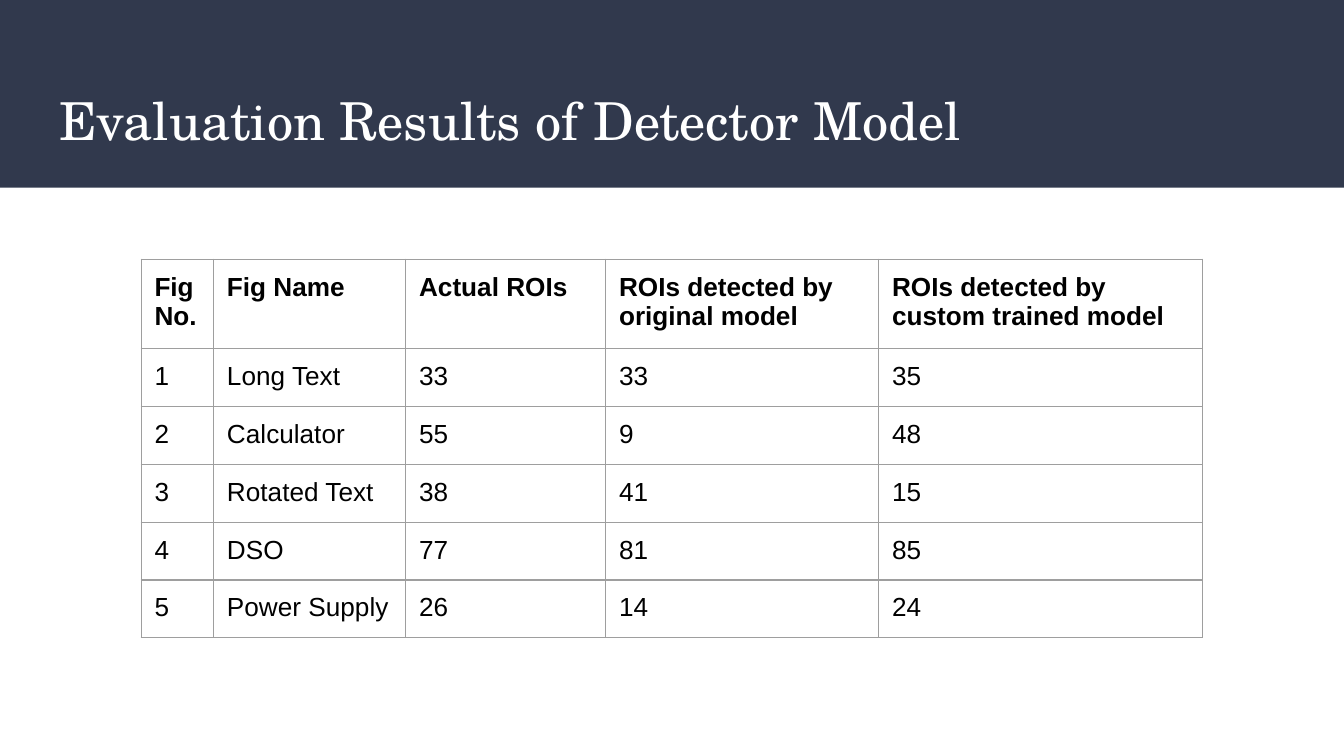
import pptx
import pptx.dml.color
import pptx.enum.shapes
import pptx.enum.text
import pptx.oxml
import pptx.oxml.ns
import pptx.util
from pptx.util import Cm


def color(value):
    return pptx.dml.color.RGBColor.from_string(value)


class Deck:
    navy = "31394D"
    white = "FFFFFF"
    black = "000000"
    grid = "9E9E9E"
    title_font = "TeX Gyre Schola"
    body_font = "Arial"
    inset = Cm(0.25)

    def __init__(self, width, height):
        self.prs = pptx.Presentation()
        self.prs.slide_width = Cm(width)
        self.prs.slide_height = Cm(height)
        self.slide = self.prs.slides.add_slide(self.prs.slide_layouts[6])

    def set_font(self, p, name, size, value, bold=False):
        p.font.name = name
        p.font.size = pptx.util.Pt(size)
        p.font.bold = bold
        p.font.color.rgb = color(value)

    def set_margins(self, box):
        box.margin_left = box.margin_right = self.inset
        box.margin_top = box.margin_bottom = self.inset

    def band(self, x, y, w, h):
        sp = self.slide.shapes.add_shape(
            pptx.enum.shapes.MSO_SHAPE.RECTANGLE, Cm(x), Cm(y), Cm(w), Cm(h))
        sp.shadow.inherit = False
        sp.fill.solid()
        sp.fill.fore_color.rgb = color(self.navy)
        sp.line.fill.background()

    def title(self, text, x, y, w, h):
        sp = self.slide.shapes.add_textbox(Cm(x), Cm(y), Cm(w), Cm(h))
        tf = sp.text_frame
        tf.word_wrap = True
        tf.vertical_anchor = pptx.enum.text.MSO_ANCHOR.MIDDLE
        self.set_margins(tf)
        p = tf.paragraphs[0]
        p.text = text
        self.set_font(p, self.title_font, 28, self.white)

    def cell_borders(self, cell):
        tc_pr = cell._tc.get_or_add_tcPr()
        for i, side in enumerate(("lnL", "lnR", "lnT", "lnB")):
            tc_pr.insert(i, pptx.oxml.parse_xml(
                f'<a:{side} {pptx.oxml.ns.nsdecls("a")} w="9525"><a:solidFill>'
                f'<a:srgbClr val="{self.grid}"/></a:solidFill></a:{side}>'))

    def table(self, rows, x, y, widths, row_height):
        table = self.slide.shapes.add_table(
            len(rows), len(widths), Cm(x), Cm(y),
            Cm(sum(widths)), Cm(row_height * len(rows))).table
        table.first_row = False
        table.horz_banding = False
        for column, width in zip(table.columns, widths):
            column.width = Cm(width)
        for i, values in enumerate(rows):
            table.rows[i].height = Cm(row_height)
            for j, value in enumerate(values):
                cell = table.cell(i, j)
                cell.fill.background()
                self.set_margins(cell)
                self.cell_borders(cell)
                p = cell.text_frame.paragraphs[0]
                p.text = str(value)
                self.set_font(p, self.body_font, 14, self.black, bold=i == 0)


def main():
    results = [
        ("Fig No.", "Fig Name", "Actual ROIs",
         "ROIs detected by original model",
         "ROIs detected by custom trained model"),
        (1, "Long Text", 33, 33, 35),
        (2, "Calculator", 55, 9, 48),
        (3, "Rotated Text", 38, 41, 15),
        (4, "DSO", 77, 81, 85),
        (5, "Power Supply", 26, 14, 24),
    ]
    deck = Deck(25.4, 14.29)
    deck.band(0, 0, 25.4, 3.55)
    deck.title("Evaluation Results of Detector Model", 0.87, 1.4, 23.67, 1.73)
    deck.table(results, 2.67, 4.9, [1.37, 3.63, 3.78, 5.16, 6.12], 1.06)
    deck.prs.save("out.pptx")


if __name__ == "__main__":
    main()
